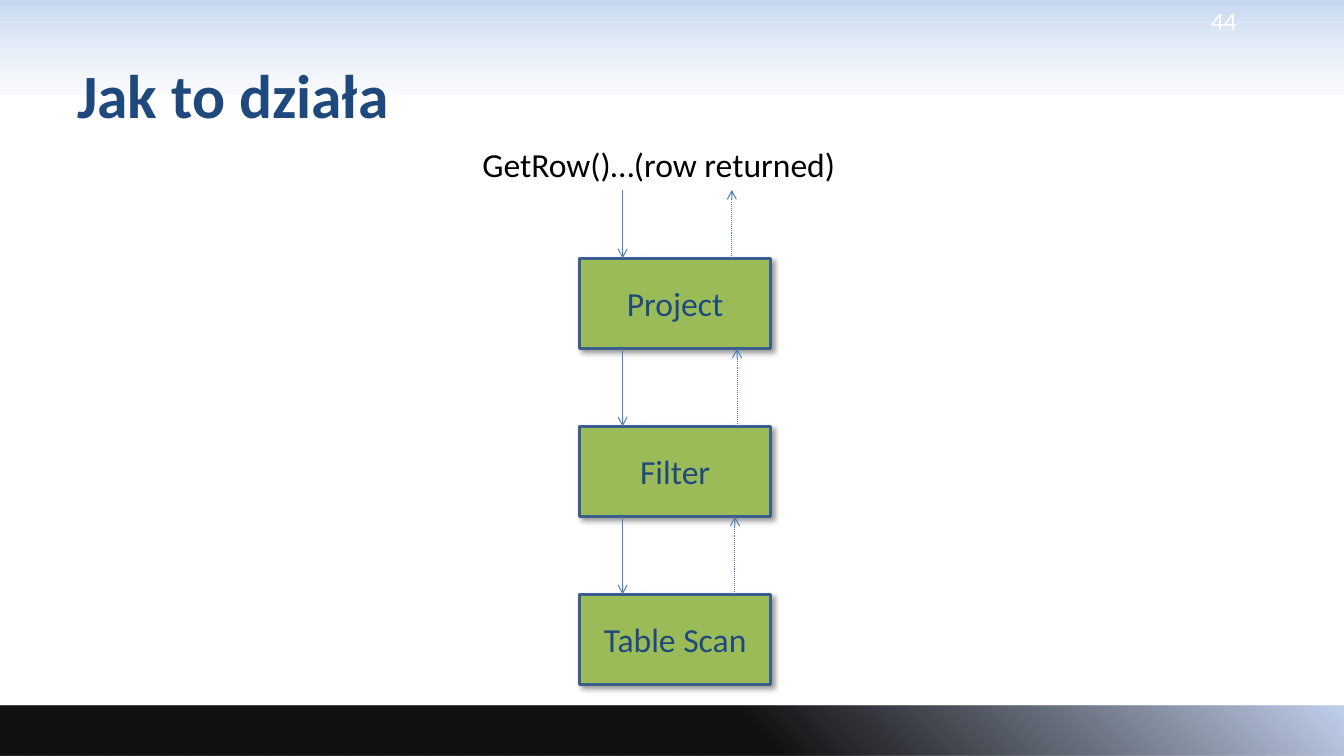
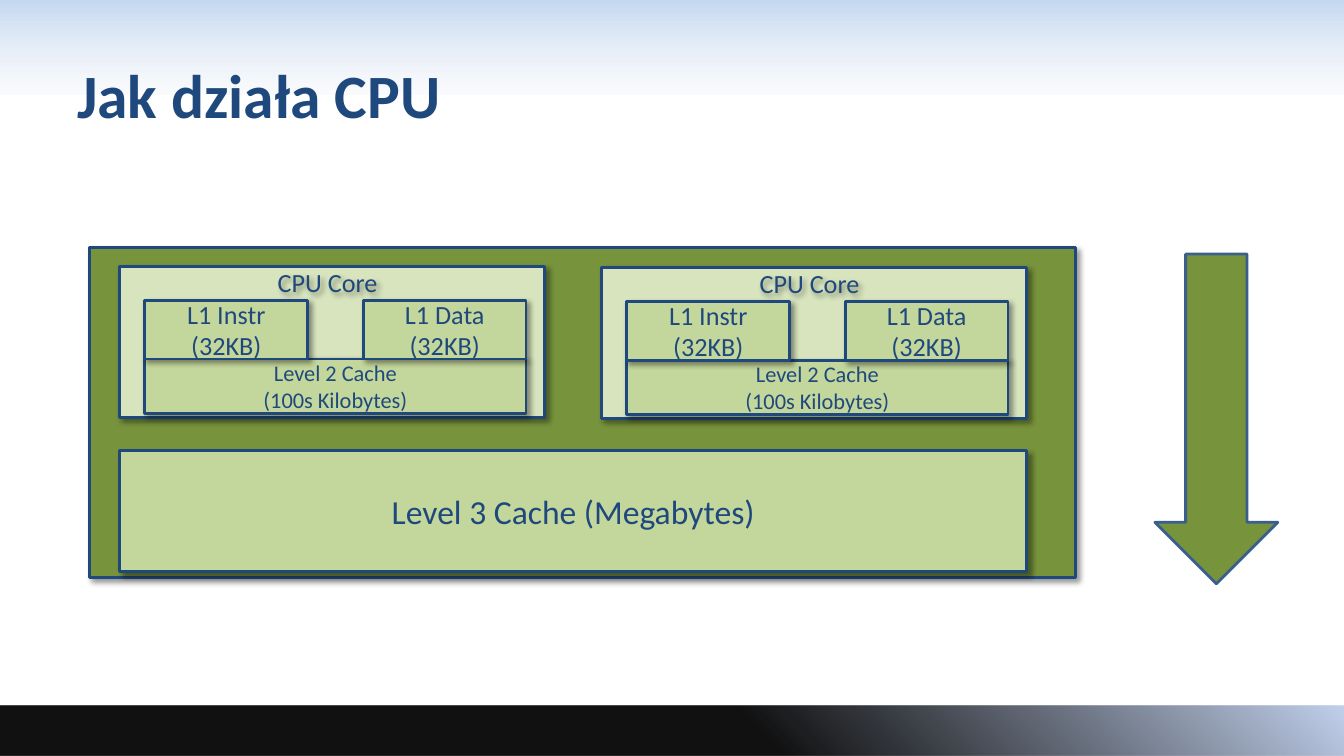
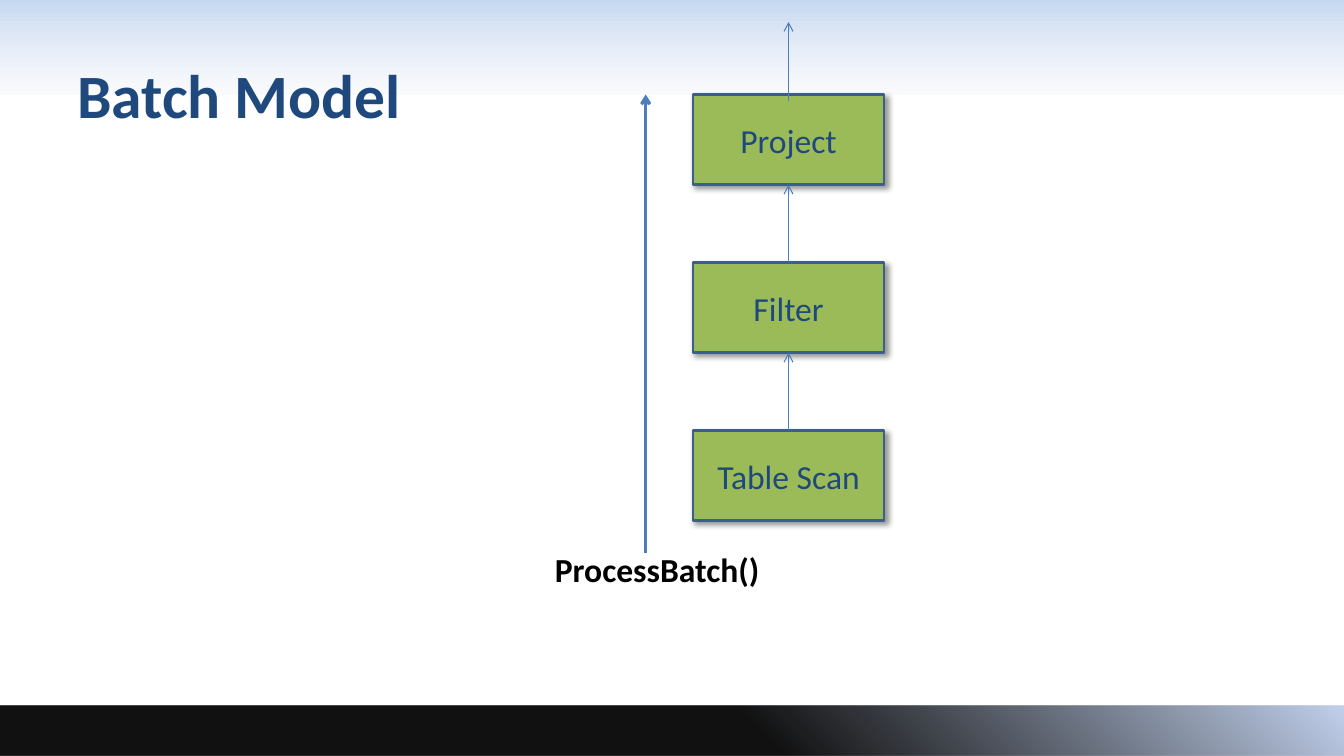
from pptx import Presentation
from pptx.dml.color import RGBColor
from pptx.enum.dml import MSO_LINE
from pptx.enum.shapes import MSO_CONNECTOR, MSO_SHAPE
from pptx.enum.text import MSO_ANCHOR, PP_ALIGN
from pptx.oxml.ns import qn
from pptx.util import Pt
from lxml.etree import SubElement

PX = 9525
W, H = 1280, 720
FONT = "Calibri"
NAVY, STEEL, BLUE = "1F497D", "3A5F8C", "4B7EBC"
GREEN, DARK_GREEN, MID_GREEN, PALE_GREEN = "9BBB59", "77933C", "C3D69B", "D7E4BD"
BLACK, WHITE = "000000", "FFFFFF"

OPERATORS = ["Project", "Filter", "Table Scan"]
BOX_W, BOX_H, BOX_STEP = 182, 86, 160


def px(*lengths):
    return [n * PX for n in lengths]


def rgb(color):
    return RGBColor.from_string(color)


def write(sp, text, size, color, bold=False, align=PP_ALIGN.LEFT, anchor=MSO_ANCHOR.TOP):
    tf = sp.text_frame
    tf.word_wrap = True
    tf.vertical_anchor = anchor
    tf.text = text
    for p in tf.paragraphs:
        p.alignment = align
        p.font.name = FONT
        p.font.size = Pt(size)
        p.font.bold = bold
        p.font.color.rgb = rgb(color)


def add_text(slide, text, box, size, color, **style):
    sp = slide.shapes.add_textbox(*px(*box))
    write(sp, text, size, color, **style)
    return sp


def add_shadow(sp):
    sp.shadow.inherit = False
    effects = sp.element.spPr.find(qn("a:effectLst"))
    outer = SubElement(effects, qn("a:outerShdw"), blurRad=str(Pt(4)), dist=str(Pt(3)),
                       dir="2700000", algn="tl", rotWithShape="0")
    color = SubElement(outer, qn("a:srgbClr"), val=BLACK)
    SubElement(color, qn("a:alpha"), val="40000")


def add_block(slide, box, fill, line=NAVY, text="", size=24, kind=MSO_SHAPE.RECTANGLE,
              shadow=True):
    sp = slide.shapes.add_shape(kind, *px(*box))
    sp.fill.solid()
    sp.fill.fore_color.rgb = rgb(fill)
    sp.line.color.rgb = rgb(line)
    sp.line.width = Pt(2)
    if shadow:
        add_shadow(sp)
    else:
        sp.shadow.inherit = False
    if text:
        write(sp, text, size, NAVY, align=PP_ALIGN.CENTER, anchor=MSO_ANCHOR.MIDDLE)
    return sp


def add_band(slide, top, height, angle, stops):
    """Full-width gradient; each stop is (position, colour, opacity in %)."""
    sp = slide.shapes.add_shape(MSO_SHAPE.RECTANGLE, *px(0, top, W, height))
    sp.shadow.inherit = False
    sp.line.fill.background()
    sp.fill.gradient()
    sp.fill.gradient_angle = angle
    for stop, (position, color, _) in zip(sp.fill.gradient_stops, stops):
        stop.position = position
        stop.color.rgb = rgb(color)
    for node, (_, _, opacity) in zip(sp.element.spPr.iter(qn("a:srgbClr")), stops):
        SubElement(node, qn("a:alpha"), val=str(opacity * 1000))


def add_arrow(slide, x, y1, y2, width=0.75, dotted=False):
    """Vertical line with its head at y2."""
    line = slide.shapes.add_connector(MSO_CONNECTOR.STRAIGHT, *px(x, y1, x, y2))
    line.line.color.rgb = rgb(BLUE)
    line.line.width = Pt(width)
    if dotted:
        line.line.dash_style = MSO_LINE.ROUND_DOT
    SubElement(line.line._get_or_add_ln(), qn("a:tailEnd"), type="arrow")
    SubElement(line._element.spPr, qn("a:effectLst"))
    return line


def add_operators(slide, left, top):
    return [add_block(slide, (left, top + i * BOX_STEP, BOX_W, BOX_H), GREEN, STEEL, name)
            for i, name in enumerate(OPERATORS)]


def add_core(slide, x, y):
    add_block(slide, (x, y, 405, 144), PALE_GREEN)
    add_block(slide, (x + 24, y + 88, 363, 52), MID_GREEN,
              text="Level 2 Cache\n(100s Kilobytes)", size=16)
    add_block(slide, (x + 232, y + 32, 155, 56), MID_GREEN, text="L1 Data (32KB)", size=18.7)
    label = add_text(slide, "CPU Core", (x + 141, y - 5, 166, 40), 18.7, NAVY)
    add_shadow(label)
    add_block(slide, (x + 24, y + 32, 155, 56), MID_GREEN, text="L1 Instr (32KB)", size=18.7)


def new_slide(prs, title):
    slide = prs.slides.add_slide(prs.slide_layouts[6])
    add_band(slide, 0, 90, 270, [(0, "C6D9F1", 100), (1, "E1E8F5", 16)])
    add_band(slide, 672, 48, 45, [(0.56, BLACK, 93), (1, "C2D1ED", 100)])
    add_text(slide, title, (64, 29, 1152, 120), 44, NAVY, bold=True, anchor=MSO_ANCHOR.MIDDLE)
    return slide


def row_model(prs):
    slide = new_slide(prs, "Jak to działa")
    add_text(slide, "44", (1144, 0, 107, 38), 18, WHITE)
    top = 246
    add_operators(slide, 552, top)
    for i, up_x in enumerate([697, 702, 700]):
        box_top = top + i * BOX_STEP
        start = box_top - BOX_STEP + BOX_H if i else 181
        add_arrow(slide, 593, start, box_top)
        add_arrow(slide, up_x, box_top, start, dotted=True)
    add_text(slide, "GetRow()…(row returned)", (450, 132, 384, 48), 24, BLACK)


def cpu_caches(prs):
    slide = new_slide(prs, "Jak działa CPU")
    add_block(slide, (85, 236, 939, 314), DARK_GREEN)
    add_block(slide, (114, 429, 864, 115), MID_GREEN, text="Level 3 Cache (Megabytes)")
    add_core(slide, 114, 254)
    add_core(slide, 573, 255)
    add_block(slide, (1100, 242, 117, 314), DARK_GREEN, STEEL, kind=MSO_SHAPE.DOWN_ARROW,
              shadow=False)


def batch_model(prs):
    slide = new_slide(prs, "Batch Model")
    left, top = 660, 90
    center = left + BOX_W // 2
    boxes = add_operators(slide, left, top)
    for i, (upper, lower) in enumerate(zip(boxes, boxes[1:])):
        upper_top = top + i * BOX_STEP
        arrow = add_arrow(slide, center, upper_top + BOX_STEP, upper_top + BOX_H)
        arrow.begin_connect(lower, 0)
        arrow.end_connect(upper, 2)
    add_arrow(slide, center, 96, 21)
    add_text(slide, "ProcessBatch()", (519, 518, 267, 48), 24, BLACK, bold=True)
    add_arrow(slide, 615, 527, 90, width=2.25)


def main():
    prs = Presentation()
    prs.slide_width, prs.slide_height = px(W, H)
    row_model(prs)
    cpu_caches(prs)
    batch_model(prs)
    prs.save("out.pptx")


if __name__ == "__main__":
    main()
